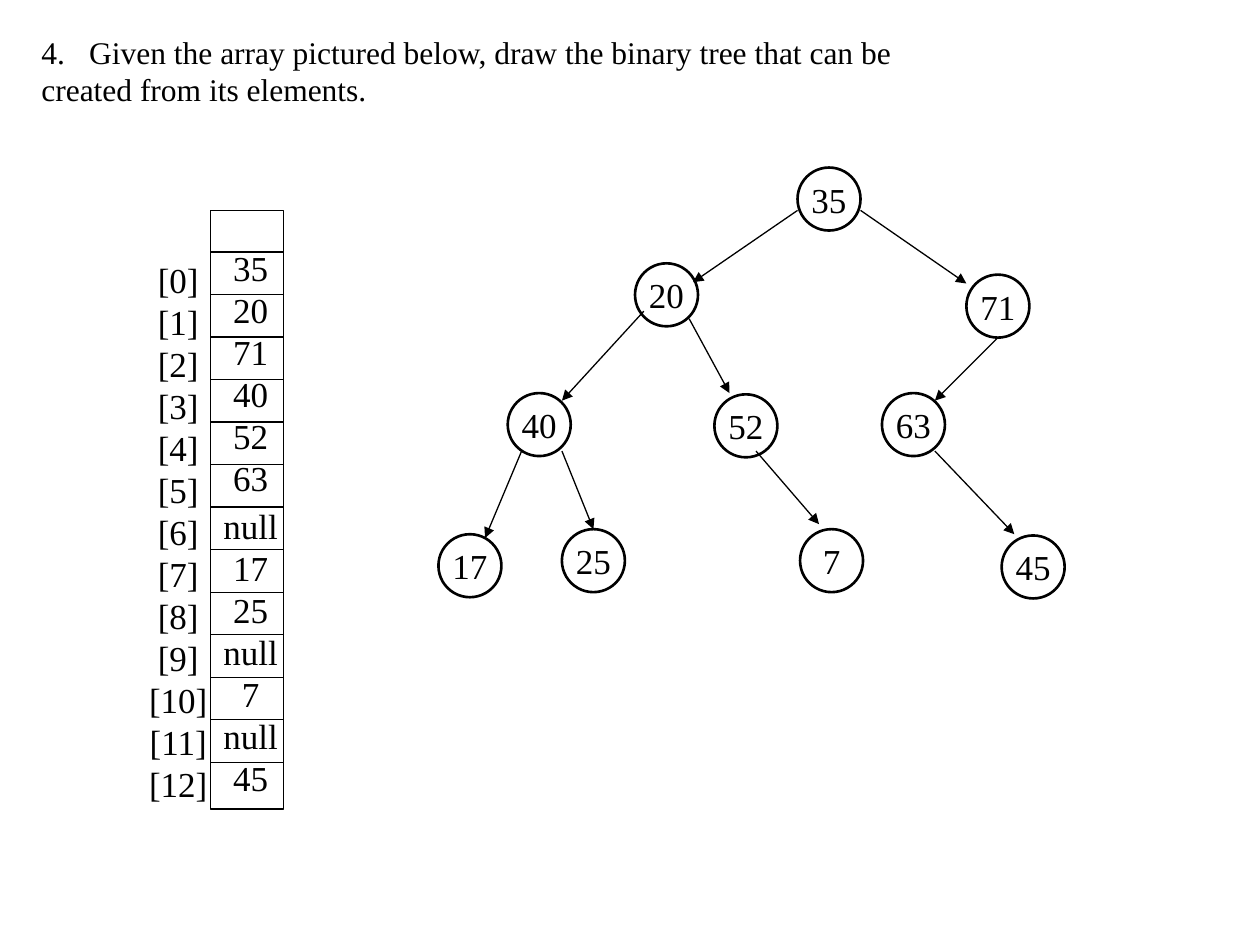
from pptx import Presentation
from pptx.dml.color import RGBColor
from pptx.enum.shapes import MSO_CONNECTOR, MSO_SHAPE
from pptx.enum.text import MSO_ANCHOR, MSO_AUTO_SIZE, PP_ALIGN
from pptx.oxml.ns import qn
from pptx.util import Inches, Pt
from lxml.etree import SubElement

BLACK = RGBColor(0, 0, 0)
FONT = "Times New Roman"

# Content
QUESTION = ["Given the array pictured below, draw the binary tree that can be",
            "created from its elements."]
VALUES = ["35", "20", "71", "40", "52", "63", "null",
          "17", "25", "null", "7", "null", "45"]
INDEXES = [f"[{i}]" for i in range(len(VALUES))]

# Tree nodes: value, left, top
NODES = [("35", 6.33, 1.33),
         ("20", 5.04, 2.09), ("71", 7.67, 2.18),
         ("40", 4.03, 3.12), ("52", 5.67, 3.13), ("63", 7, 3.12),
         ("17", 3.48, 4.24), ("25", 4.46, 4.2), ("7", 6.35, 4.2), ("45", 7.95, 4.25)]
NODE_SIZE = 0.5

# Tree edges: start x, start y, end x, end y
EDGES = [(6.33, 1.67, 5.5, 2.24), (6.83, 1.67, 7.67, 2.25),
         (5.11, 2.47, 4.46, 3.18), (5.47, 2.53, 5.79, 3.12),
         (7.92, 2.68, 7.42, 3.18), (4.14, 3.58, 3.85, 4.27),
         (4.46, 3.58, 4.71, 4.2), (6, 3.58, 6.5, 4.16),
         (7.42, 3.58, 8.05, 4.24)]

# Array grid
ARRAY_LEFT, ARRAY_TOP, ARRAY_W, ARRAY_H = 1.67, 1.67, 0.58, 4.75
FIRST_ROW, ROW_H = 2, 0.34 - 0.0025

prs = Presentation()
prs.slide_width, prs.slide_height = Inches(10), Inches(7.5)
s = prs.slides.add_slide(prs.slide_layouts[6])


def fill_text(tf, lines, size, align):
    tf.word_wrap = False
    tf.text = "\n".join(lines)
    for p in tf.paragraphs:
        p.alignment = align
        for r in p.runs:
            r.font.size, r.font.name = Pt(size), FONT
            r.font.color.rgb = BLACK


def add_text(lines, left, top, width, height, size=20, align=PP_ALIGN.CENTER):
    tf = s.shapes.add_textbox(*map(Inches, (left, top, width, height))).text_frame
    fill_text(tf, lines, size, align)
    tf.auto_size = MSO_AUTO_SIZE.SHAPE_TO_FIT_TEXT
    return tf


def add_outline(kind, left, top, width, height, weight):
    sp = s.shapes.add_shape(kind, *map(Inches, (left, top, width, height)))
    sp.shadow.inherit = False
    sp.fill.background()
    sp.line.color.rgb, sp.line.width = BLACK, Pt(weight)
    return sp


def add_line(x1, y1, x2, y2, arrow=False):
    line = s.shapes.add_connector(MSO_CONNECTOR.STRAIGHT,
                                  *map(Inches, (x1, y1, x2, y2)))
    line.line.color.rgb, line.line.width = BLACK, Pt(0.75)
    if arrow:
        SubElement(line.line._get_or_add_ln(), qn("a:tailEnd"), type="triangle")
    SubElement(line._element.spPr, qn("a:effectLst"))


# Array box, row dividers, indexes and values
add_outline(MSO_SHAPE.RECTANGLE, ARRAY_LEFT, ARRAY_TOP, ARRAY_W, ARRAY_H, 0.75)
add_text(INDEXES, 1.08, 2, 0.67, 4.48)
for i in range(len(VALUES)):
    y = FIRST_ROW + i * ROW_H
    add_line(ARRAY_LEFT, y, ARRAY_LEFT + ARRAY_W, y)
tf = add_text(VALUES, ARRAY_LEFT, 1.91, 0.64, 4.48)
tf.paragraphs[VALUES.index("null")].space_before = Pt(3)

# Question, numbered 4
tf = add_text(QUESTION, 0.23, 0.21, 7.02, 0.71, 18, PP_ALIGN.LEFT)
pPr = tf.paragraphs[0]._p.get_or_add_pPr()
pPr.set("marL", str(Inches(0.38)))
pPr.set("indent", str(Inches(-0.38)))
SubElement(pPr, qn("a:buFont"), typeface=FONT)
SubElement(pPr, qn("a:buAutoNum"), type="arabicPeriod", startAt="4")

# Tree
for value, left, top in NODES:
    sp = add_outline(MSO_SHAPE.OVAL, left, top, NODE_SIZE, NODE_SIZE, 1.5)
    fill_text(sp.text_frame, [value], 20, PP_ALIGN.CENTER)
    sp.text_frame.vertical_anchor = MSO_ANCHOR.MIDDLE
for edge in EDGES:
    add_line(*edge, arrow=True)

prs.save("out.pptx")
